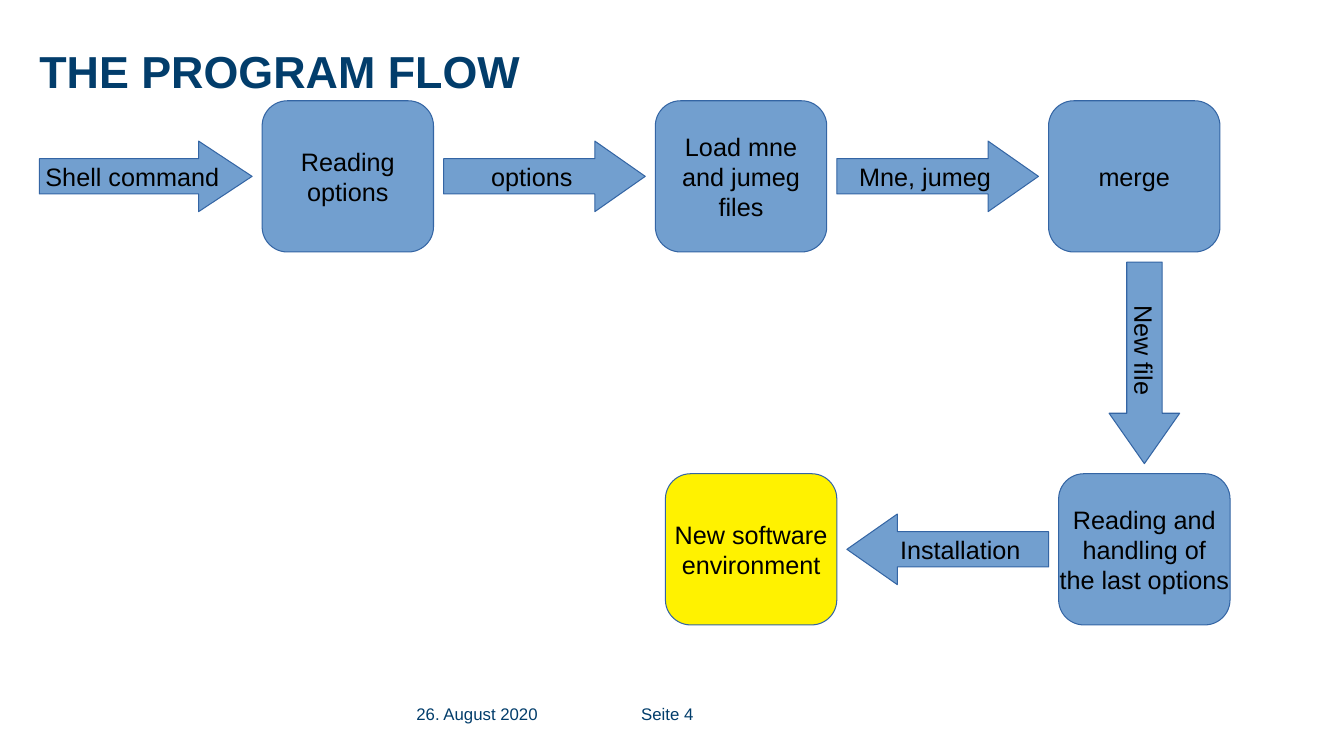
from dataclasses import dataclass

from pptx import Presentation
from pptx.dml.color import RGBColor
from pptx.enum.shapes import MSO_SHAPE
from pptx.enum.text import MSO_ANCHOR, PP_ALIGN
from pptx.slide import Slide
from pptx.text.text import TextFrame
from pptx.util import Inches, Pt

COLORS = {
    "heading": "023D6B",
    "step": "729FCF",
    "result": "FFF200",
    "outline": "3465A4",
    "label": "000000",
}
STEP_SIZE = (1.7, 1.5)
ARROW_HEIGHT = 0.7
HEAD_LENGTH = 0.5


@dataclass
class Caption:
    text: str
    left: float
    top: float
    width: float
    height: float
    size: int = 12
    bold: bool = False
    line_spacing: float = 1.0


@dataclass
class Step:
    lines: list[str]
    left: float
    top: float
    fill: str = "step"


@dataclass
class Arrow:
    label: str
    left: float
    top: float
    length: float = 2.0
    head: float = HEAD_LENGTH
    rotation: int = 0
    preset: MSO_SHAPE = MSO_SHAPE.RIGHT_ARROW


CAPTIONS = [
    Caption("THE PROGRAM FLOW", 0.39, 0.36, 12.52, 1.23, 32, True, 1.14),
    Caption("26. August 2020", 4.13, 6.98, 1.75, 0.24),
    Caption("Seite 4", 6.36, 6.98, 0.79, 0.24),
]
FLOW = [
    Arrow("Shell command", 0.39, 1.4, length=2.11, head=0.53),
    Step(["Reading", "options"], 2.6, 1),
    Arrow("options", 4.4, 1.4),
    Step(["Load mne", "and jumeg", "files"], 6.5, 1),
    Arrow("Mne, jumeg", 8.3, 1.4),
    Step(["merge"], 10.4, 1),
    Arrow("New file", 10.35, 3.25, rotation=90),
    Step(["Reading and", "handling of", "the last options"], 10.5, 4.7),
    Arrow("Installation", 8.4, 5.1, preset=MSO_SHAPE.LEFT_ARROW),
    Step(["New software", "environment"], 6.6, 4.7, "result"),
]


def color(name: str) -> RGBColor:
    return RGBColor.from_string(COLORS[name])


def write_lines(frame: TextFrame, lines: list[str], size: int, color_name: str,
                align: PP_ALIGN, bold: bool = False, spacing: float = 1.0) -> None:
    for index, line in enumerate(lines):
        para = frame.add_paragraph() if index else frame.paragraphs[0]
        para.alignment = align
        para.line_spacing = spacing
        span = para.add_run()
        span.text = line
        span.font.name = "Arial"
        span.font.size = Pt(size)
        span.font.bold = bold
        span.font.color.rgb = color(color_name)


def add_caption(page: Slide, caption: Caption) -> None:
    box = page.shapes.add_textbox(Inches(caption.left), Inches(caption.top),
                                  Inches(caption.width), Inches(caption.height))
    frame = box.text_frame
    frame.word_wrap = True
    frame.margin_left = frame.margin_right = frame.margin_top = frame.margin_bottom = 0
    write_lines(frame, [caption.text], caption.size, "heading", PP_ALIGN.LEFT,
                caption.bold, caption.line_spacing)


def add_flow_part(page: Slide, part: Step | Arrow) -> None:
    if isinstance(part, Step):
        preset, fill, lines = MSO_SHAPE.FLOWCHART_ALTERNATE_PROCESS, part.fill, part.lines
        width, height = STEP_SIZE
    else:
        preset, fill, lines = part.preset, "step", [part.label]
        width, height = part.length, ARROW_HEIGHT
    shape = page.shapes.add_shape(preset, Inches(part.left), Inches(part.top),
                                  Inches(width), Inches(height))
    if isinstance(part, Arrow):
        shape.adjustments[0] = 0.5
        shape.adjustments[1] = part.head / ARROW_HEIGHT
        shape.rotation = part.rotation
    shape.shadow.inherit = False
    shape.fill.solid()
    shape.fill.fore_color.rgb = color(fill)
    shape.line.color.rgb = color("outline")
    shape.line.width = Pt(0)
    frame = shape.text_frame
    frame.word_wrap = False
    frame.vertical_anchor = MSO_ANCHOR.MIDDLE
    write_lines(frame, lines, 18, "label", PP_ALIGN.CENTER)


def main() -> None:
    deck = Presentation()
    deck.slide_width, deck.slide_height = Inches(13.33), Inches(7.5)
    page = deck.slides.add_slide(deck.slide_layouts[6])
    for caption in CAPTIONS:
        add_caption(page, caption)
    for part in FLOW:
        add_flow_part(page, part)
    deck.save("out.pptx")


if __name__ == "__main__":
    main()
